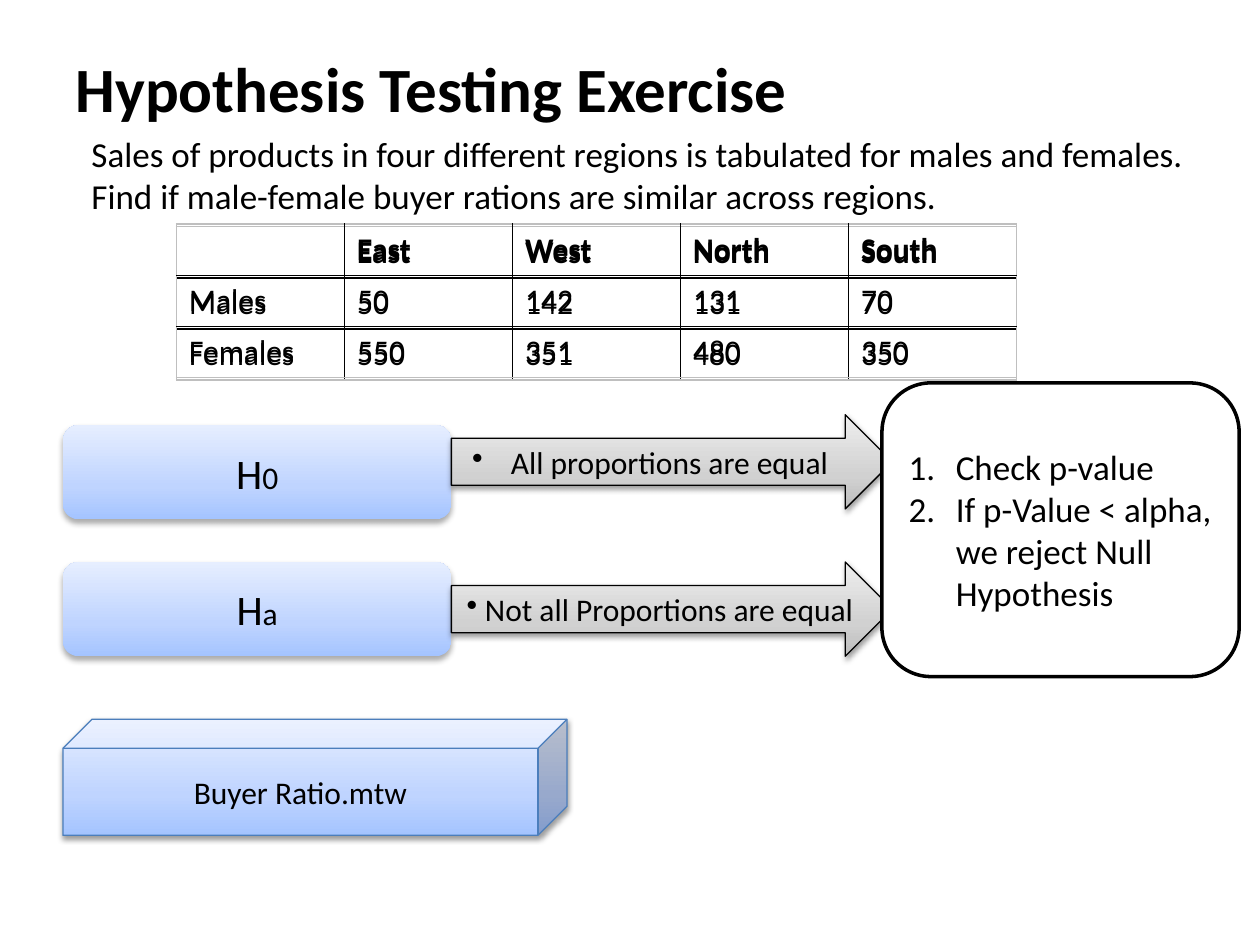
from dataclasses import dataclass
from typing import Optional

from lxml import etree
from pptx import Presentation
from pptx.dml.color import RGBColor
from pptx.enum import shapes, text
from pptx.oxml import ns
from pptx.util import Cm, Pt

KIND = shapes.MSO_SHAPE
ALIGN = text.PP_ALIGN
BLACK = "000000"
GRAY = "BFBFBF"
BLUES = ((0, "A4C4FF"), (35, "BFD4FF"), (100, "E6EEFF"))
GRAYS = ((0, "BDBDBD"), (35, "D1D1D1"), (100, "EEEEEE"))
ROWS = (
    ("", "East", "West", "North", "South"),
    ("Males", "50", "142", "131", "70"),
    ("Females", "550", "351", "480", "350"),
)


@dataclass
class Shade:
    alpha: int
    blur: float
    dist: float


SOFT = Shade(32, 3.5, 2.2)
FIRM = Shade(38, 3.1, 1.6)


@dataclass
class Block:
    kind: int
    box: tuple
    runs: tuple
    stops: tuple
    shade: Shade
    line: Optional[str] = None
    dot: bool = False
    indent: float = 0
    right: float = 0.25


BLOCKS = (
    Block(KIND.ROUNDED_RECTANGLE, (1.27, 8.57, 7.83, 1.9),
          (("H", 24), ("0", 18)), BLUES, SOFT),
    Block(KIND.ROUNDED_RECTANGLE, (1.27, 11.33, 7.83, 1.9),
          (("H", 24), ("a", 18)), BLUES, SOFT),
    Block(KIND.RIGHT_ARROW, (9.1, 8.36, 8.89, 1.9),
          ((" All proportions are equal", 18),), GRAYS, FIRM, BLACK, True, 0.64, 0.65),
    Block(KIND.RIGHT_ARROW, (9.1, 11.33, 8.89, 1.9),
          ((" Not all Proportions are equal", 18),), GRAYS, FIRM, BLACK, True),
)
CUBE = Block(KIND.CUBE, (1.27, 14.5, 10.16, 2.34),
             (("Buyer Ratio.mtw", 18),), BLUES, FIRM, "4B7EBC")
STEPS = ("Check p-value", "If p-Value < alpha, we reject Null Hypothesis")


def color(code: str) -> RGBColor:
    return RGBColor.from_string(code)


def add(node, tag: str, **attrs):
    return etree.SubElement(node, ns.qn(f"a:{tag}"), {k: str(v) for k, v in attrs.items()})


def place(shape, box: tuple) -> None:
    shape.left, shape.top, shape.width, shape.height = map(Cm, box)


def style(font, size: float, bold: bool = False) -> None:
    font.name = "Calibri"
    font.size = Pt(size)
    font.bold = bold
    font.color.rgb = color(BLACK)


def bullet(para, tag: str, left: float, first: float, **attrs) -> None:
    props = para._p.get_or_add_pPr()
    props.set("marL", str(Cm(left)))
    props.set("indent", str(Cm(first)))
    add(props, tag, **attrs)


def edge(shape, code: Optional[str], width: float = 0.75) -> None:
    if code:
        shape.line.color.rgb = color(code)
        shape.line.width = Pt(width)
    else:
        shape.line.fill.background()


def blend(shape, stops: tuple) -> None:
    shape.fill.gradient()
    shape.fill.gradient_angle = 90
    group = shape._element.spPr.find(".//" + ns.qn("a:gsLst"))
    group[:] = []
    for pos, code in stops:
        add(add(group, "gs", pos=pos * 1000), "srgbClr", val=code)


def cast(shape, shade: Shade) -> None:
    shape.shadow.inherit = False
    group = shape._element.spPr.find(ns.qn("a:effectLst"))
    outer = add(group, "outerShdw", blurRad=Pt(shade.blur), dist=Pt(shade.dist),
                dir=5400000, rotWithShape=0)
    add(add(outer, "srgbClr", val=BLACK), "alpha", val=shade.alpha * 1000)


def draw(slide, block: Block) -> None:
    shape = slide.shapes.add_shape(block.kind, *map(Cm, block.box))
    blend(shape, block.stops)
    edge(shape, block.line)
    cast(shape, block.shade)
    frame = shape.text_frame
    frame.word_wrap = True
    frame.vertical_anchor = text.MSO_ANCHOR.MIDDLE
    frame.margin_right = Cm(block.right)
    para = frame.paragraphs[0]
    para.alignment = ALIGN.CENTER
    if block.dot:
        bullet(para, "buChar", block.indent, -block.indent, char="•")
    for words, size in block.runs:
        run = para.add_run()
        run.text = words
        style(run.font, size)


def grid(slide, top: float) -> None:
    rows, cols = len(ROWS), len(ROWS[0])
    table = slide.shapes.add_table(
        rows, cols, Cm(3.56), Cm(top), Cm(16.93), Cm(3.09)).table
    table.first_row = table.horz_banding = False
    for r, row in enumerate(ROWS):
        for c, words in enumerate(row):
            cell = table.cell(r, c)
            cell.text = words
            style(cell.text_frame.paragraphs[0].font, 18, r == 0)
            props = cell._tc.get_or_add_tcPr()
            sides = {"lnL": c == 0, "lnR": c == cols - 1,
                     "lnT": r == 0, "lnB": r == rows - 1}
            for tag, outer in sides.items():
                line = add(props, tag, w=Pt(1))
                add(add(line, "solidFill"), "srgbClr", val=GRAY if outer else BLACK)
            cell.fill.background()


def head(slide) -> None:
    title, body = slide.shapes.title, slide.placeholders[1]
    place(title, (1.27, 0.76, 22.86, 1.98))
    title.text = "Hypothesis Testing Exercise"
    title.text_frame.vertical_anchor = text.MSO_ANCHOR.MIDDLE
    place(body, (0.64, 2.54, 24.33, 4.39))
    body.text = ("Sales of products in four different regions is tabulated for males "
                 "and females. Find if male-female buyer rations are similar across regions.")
    bullet(body.text_frame.paragraphs[0], "buNone", 0.95, 0)
    for shape, size, bold in ((title, 36, True), (body, 20, False)):
        shape.text_frame.auto_size = text.MSO_AUTO_SIZE.NONE
        para = shape.text_frame.paragraphs[0]
        para.alignment = ALIGN.LEFT
        style(para.font, size, bold)


def rules(slide) -> None:
    shape = slide.shapes.add_shape(
        KIND.ROUNDED_RECTANGLE, *map(Cm, (17.78, 7.72, 7.2, 5.92)))
    shape.shadow.inherit = False
    shape.fill.solid()
    shape.fill.fore_color.rgb = color("FFFFFF")
    edge(shape, BLACK, 2)
    frame = shape.text_frame
    frame.word_wrap = True
    frame.vertical_anchor = text.MSO_ANCHOR.MIDDLE
    frame.text = "\n".join(STEPS)
    for para in frame.paragraphs:
        para.alignment = ALIGN.LEFT
        bullet(para, "buAutoNum", 0.95, -0.95, type="arabicPeriod")
        style(para.font, 20)


def main() -> None:
    deck = Presentation()
    deck.slide_width, deck.slide_height = Cm(25.4), Cm(19.05)
    slide = deck.slides.add_slide(deck.slide_layouts[1])
    head(slide)
    grid(slide, 4.57)
    for block in BLOCKS:
        draw(slide, block)
    rules(slide)
    draw(slide, CUBE)
    grid(slide, 4.52)
    deck.save("out.pptx")


if __name__ == "__main__":
    main()
